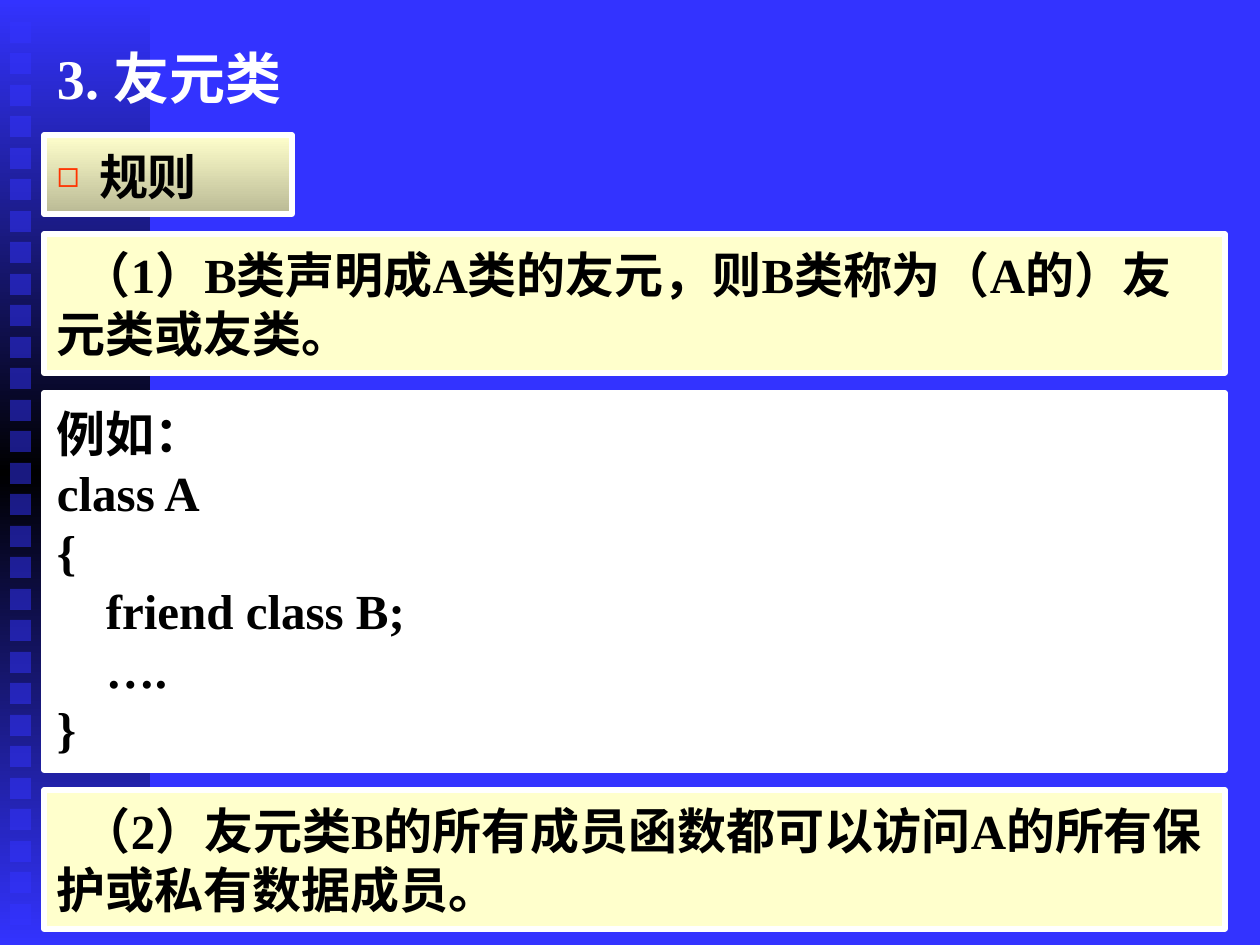
from dataclasses import dataclass
from lxml import etree
from pptx import Presentation
from pptx import util as u
from pptx.dml.color import RGBColor
from pptx.enum import shapes, text
from pptx.oxml.ns import qn


@dataclass
class Theme:
    font: str = "Times New Roman"
    blue: str = "3333FF"
    black: str = "000000"
    white: str = "FFFFFF"
    cream: str = "FFFFCC"
    khaki: str = "BABA95"
    red: str = "FF3300"
    head: int = 32
    body: int = 28
    edge: int = 3


def px(n):
    return u.Emu(round(n * 914400 / 126))


def rgb(code):
    return RGBColor.from_string(code)


class Deck:
    def __init__(self, theme):
        self.t = theme
        self.prs = Presentation()
        self.prs.slide_width, self.prs.slide_height = px(1260), px(945)
        self.slide = self.prs.slides.add_slide(self.prs.slide_layouts[1])
        back = self.slide.background.fill
        back.solid()
        back.fore_color.rgb = rgb(theme.blue)

    def rect(self, x, y, w, h):
        box = self.slide.shapes.add_shape(
            shapes.MSO_SHAPE.RECTANGLE, px(x), px(y), px(w), px(h))
        box.shadow.inherit = False
        box.line.fill.background()
        return box

    def holder(self, box, x, y, w, h):
        """Move a placeholder into place, in front of what is drawn so far."""
        box.left, box.top, box.width, box.height = map(px, (x, y, w, h))
        self.slide.shapes.element.append(box.element)
        return box

    def paint(self, box, color, alpha=None):
        box.fill.solid()
        box.fill.fore_color.rgb = rgb(color)
        if alpha:
            clr = box.element.spPr.find(".//" + qn("a:srgbClr"))
            etree.SubElement(clr, qn("a:alpha"), val=str(alpha * 1000))

    def fade(self, box, *colors):
        """Even gradient from top to bottom."""
        box.fill.gradient()
        box.fill.gradient_angle = 270
        stops = box.element.spPr.find(".//" + qn("a:gsLst"))
        for old in list(stops):
            stops.remove(old)
        for i, color in enumerate(colors):
            pos = 100000 * i // (len(colors) - 1)
            stop = etree.SubElement(stops, qn("a:gs"), pos=str(pos))
            etree.SubElement(stop, qn("a:srgbClr"), val=color)

    def frame(self, box):
        box.line.color.rgb = rgb(self.t.white)
        box.line.width = u.Pt(self.t.edge)

    def label(self, box, words, size, color, top=11, mid=False):
        tf = box.text_frame
        tf.text = words
        tf.word_wrap = True
        tf.auto_size = text.MSO_AUTO_SIZE.NONE
        tf.vertical_anchor = text.MSO_ANCHOR.MIDDLE if mid else text.MSO_ANCHOR.TOP
        tf.margin_left = tf.margin_right = px(13)
        tf.margin_top, tf.margin_bottom = px(top), px(6)
        for par in tf.paragraphs:
            par.alignment = text.PP_ALIGN.LEFT
            par.space_before = u.Pt(0)
            for run in par.runs:
                run.font.name = self.t.font
                run.font.size = u.Pt(size)
                run.font.bold = True
                run.font.color.rgb = rgb(color)

    def indent(self, box, first, left=0):
        prop = box.text_frame.paragraphs[0]._p.get_or_add_pPr()
        prop.set("marL", str(px(left)))
        prop.set("indent", str(px(first)))
        return prop

    def band(self):
        self.fade(self.rect(0, 0, 150, 945), self.t.blue, self.t.black, self.t.blue)
        for i in range(29):
            self.paint(self.rect(10, 22 + i * 63 // 2, 21, 21), self.t.blue, 50)

    def title(self, words, *place):
        box = self.holder(self.slide.shapes.title, *place)
        self.label(box, words, self.t.head, self.t.white, top=6, mid=True)

    def bullet(self, words, *place):
        box = self.holder(self.slide.placeholders[1], *place)
        self.fade(box, self.t.cream, self.t.khaki)
        self.frame(box)
        self.label(box, words, self.t.body, self.t.black)
        prop = self.indent(box, -42, 42)
        clr = etree.SubElement(prop, qn("a:buClr"))
        etree.SubElement(clr, qn("a:srgbClr"), val=self.t.red)
        etree.SubElement(prop, qn("a:buSzPct"), val="75000")
        etree.SubElement(prop, qn("a:buChar"), char="◻")

    def panel(self, words, fill, *place, first=0):
        box = self.rect(*place)
        self.paint(box, fill)
        self.frame(box)
        self.label(box, words, self.t.body, self.t.black)
        self.indent(box, first)


CODE = """例如：
class A
{
    friend class B;
    ….
}"""


def main():
    t = Theme()
    deck = Deck(t)
    # Side band with squares
    deck.band()
    # Heading and label
    deck.title("3. 友元类", 44, 20, 1160, 115)
    deck.bullet("规则", 44, 135, 248, 79)
    # Rules and example
    deck.panel("（1）B类声明成A类的友元，则B类称为（A的）友元类或友类。",
               t.cream, 44, 234, 1181, 139, first=25)
    deck.panel(CODE, t.white, 44, 393, 1181, 377)
    deck.panel("（2）友元类B的所有成员函数都可以访问A的所有保护或私有数据成员。",
               t.cream, 44, 790, 1181, 139, first=25)
    deck.prs.save("out.pptx")


if __name__ == "__main__":
    main()
